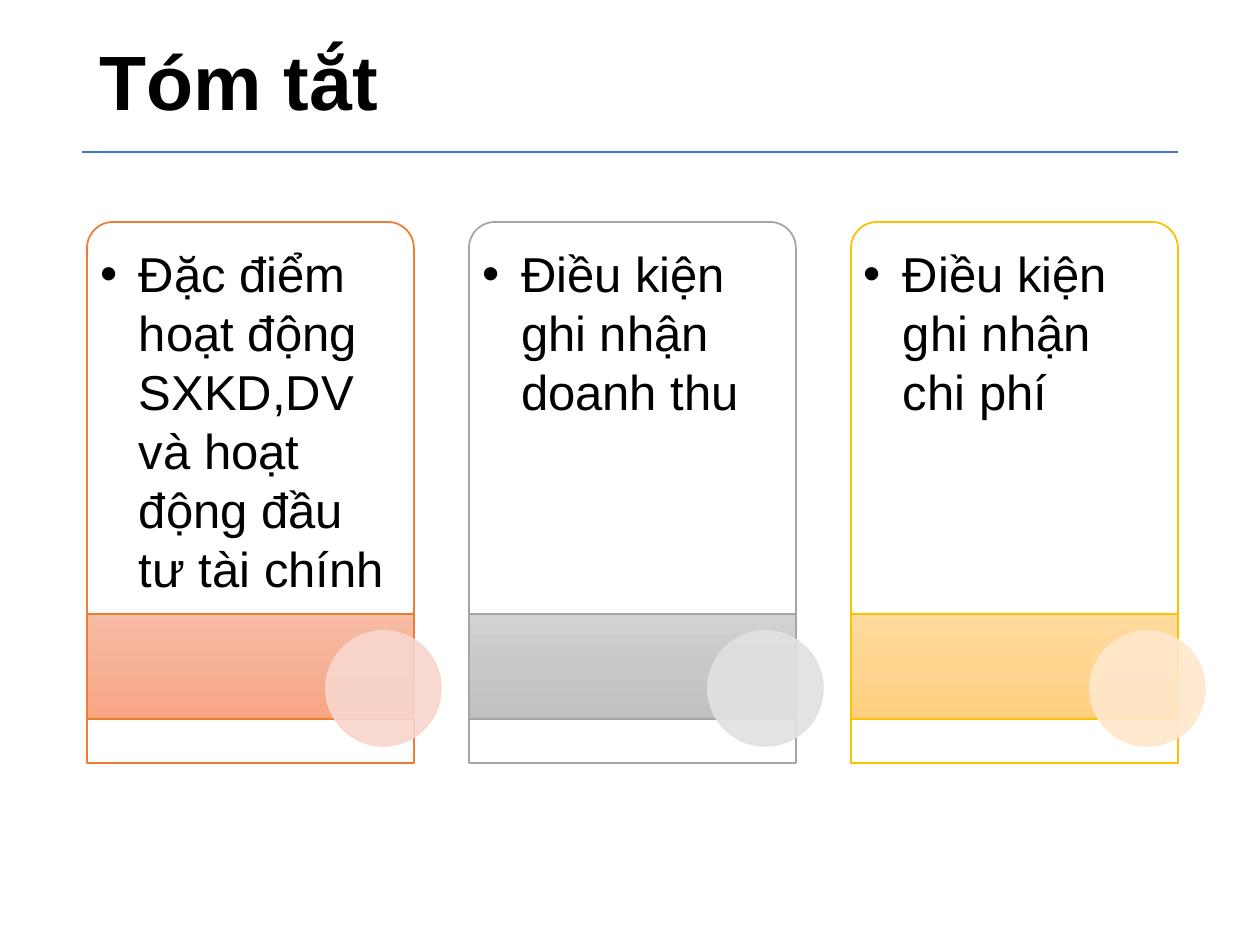
"""Build the summary slide with three topic cards."""
from copy import deepcopy
from dataclasses import dataclass

from lxml import etree
from pptx import Presentation
from pptx import util as u
from pptx.dml.color import RGBColor
from pptx.enum import shapes, text
from pptx.oxml import ns

SCALE = 914400 / 126


@dataclass(frozen=True)
class Theme:
    """Colours, font and type sizes of the slide."""
    font: str = "Arial"
    ink: str = "000000"
    paper: str = "FFFFFF"
    rule: str = "4472C4"
    title_size: int = 44
    body_size: int = 28
    accents: tuple = (
        ("ED7D31", ("F7BDA5", "F5B196", "F8A582"), "F8D7CE"),
        ("A5A5A5", ("D2D2D2", "C8C8C8", "C0C0C0"), "E1E1E1"),
        ("FFC000", ("FFDB9E", "FFD590", "FFD07C"), "FFE8CC"),
    )


def px(length):
    """Turn px into EMU."""
    return u.Emu(round(length * SCALE))


def rgb(code):
    """Turn a hex code into a colour."""
    return RGBColor.from_string(code)


def add_child(parent, tag, **attributes):
    """Append a DrawingML element with its attributes."""
    return etree.SubElement(parent, ns.qn(tag), attributes)


def write(frame, wording, *, theme, size, bold=False, bullet=None, indent=0,
          anchor=text.MSO_ANCHOR.TOP, insets=(13, 6, 13, 6), spacing=None):
    """Fill a text frame with one formatted paragraph."""
    frame.word_wrap = True
    frame.vertical_anchor = anchor
    (frame.margin_left, frame.margin_top,
     frame.margin_right, frame.margin_bottom) = map(px, insets)
    paragraph = frame.paragraphs[0]
    paragraph.alignment = text.PP_ALIGN.LEFT
    if spacing:
        paragraph.line_spacing = spacing
    if bullet:
        paragraph.level = 1
        properties = paragraph._p.get_or_add_pPr()
        properties.set("marL", str(px(indent)))
        properties.set("indent", str(-px(indent)))
        add_child(properties, "a:buFont", typeface=theme.font)
        add_child(properties, "a:buChar", char=bullet)
    run = paragraph.add_run()
    run.text = wording
    run.font.name = theme.font
    run.font.size = u.Pt(size)
    run.font.bold = bold
    run.font.color.rgb = rgb(theme.ink)


class SlideBuilder:
    """Holds the theme and the current slide."""

    def __init__(self, slide, theme):
        self.slide = slide
        self.theme = theme

    def rule(self, left, right, y):
        """Draw the horizontal line under the title."""
        divider = self.slide.shapes.add_connector(
            shapes.MSO_CONNECTOR.STRAIGHT, px(left), px(y), px(right), px(y))
        divider.line.color.rgb = rgb(self.theme.rule)
        divider.line.width = u.Pt(1.5)
        add_child(divider._element.spPr, "a:effectLst")

    def label(self, box, wording, **style):
        """Place a text box."""
        frame = self.slide.shapes.add_textbox(*map(px, box)).text_frame
        write(frame, wording, theme=self.theme, **style)

    def block(self, kind, box, fills, outline, opacity=100):
        """Draw a shape with a solid or a vertical gradient fill."""
        shape = self.slide.shapes.add_shape(kind, *map(px, box))
        shape.shadow.inherit = False
        if len(fills) == 1:
            shape.fill.solid()
            shape.fill.fore_color.rgb = rgb(fills[0])
        else:
            self.gradient(shape.fill, fills)
        if opacity < 100:
            for colour in shape._element.spPr.iter(ns.qn("a:srgbClr")):
                add_child(colour, "a:alpha", val=str(opacity * 1000))
        shape.line.color.rgb = rgb(outline)
        shape.line.width = u.Pt(1)
        return shape

    def gradient(self, fill, colours):
        """Spread the colours evenly from top to bottom."""
        fill.gradient()
        fill.gradient_angle = 270
        first = fill.gradient_stops[0]._gs
        for _ in colours[2:]:
            first.addnext(deepcopy(first))
        for index, (stop, colour) in enumerate(zip(fill.gradient_stops, colours)):
            stop.position = index / (len(colours) - 1)
            stop.color.rgb = rgb(colour)

    def card(self, left, topic, accent):
        """Draw one topic card with its band and disc."""
        edge, band, disc = accent
        kinds = shapes.MSO_SHAPE
        panel = self.block(kinds.ROUND_2_SAME_RECTANGLE, (left, 222, 327, 541),
                           (self.theme.paper,), edge, opacity=90)
        panel.adjustments[0] = 0.08
        panel.adjustments[1] = 0
        self.label((left + 8, 229, 311, 534), topic, size=self.theme.body_size,
                   bullet="•", indent=39, insets=(5, 15, 5, 5))
        self.block(kinds.RECTANGLE, (left, 614, 327, 105), band, edge)
        circle = self.block(kinds.OVAL, (left + 239, 631, 115, 115),
                            (disc,), disc, opacity=90)
        outline = circle.line.fill.fore_color
        outline.rgb = rgb(disc)
        for colour in circle.line._ln.iter(ns.qn("a:srgbClr")):
            add_child(colour, "a:alpha", val="90000")


def main():
    """Create and save the deck."""
    deck = Presentation()
    deck.slide_width, deck.slide_height = px(1260), px(945)
    theme = Theme()
    page = SlideBuilder(deck.slides.add_slide(deck.slide_layouts[6]), theme)
    page.rule(82, 1178, 152)
    page.label((87, 19, 1086, 133), "Tóm tắt", size=theme.title_size, bold=True,
               anchor=text.MSO_ANCHOR.MIDDLE, spacing=0.9)
    topics = (
        "Đặc điểm hoạt động SXKD,DV và hoạt động đầu tư tài chính",
        "Điều kiện ghi nhận doanh thu",
        "Điều kiện ghi nhận chi phí",
    )
    for column, (topic, accent) in enumerate(zip(topics, theme.accents)):
        page.card(87 + 382 * column, topic, accent)
    deck.save("out.pptx")


if __name__ == "__main__":
    main()
